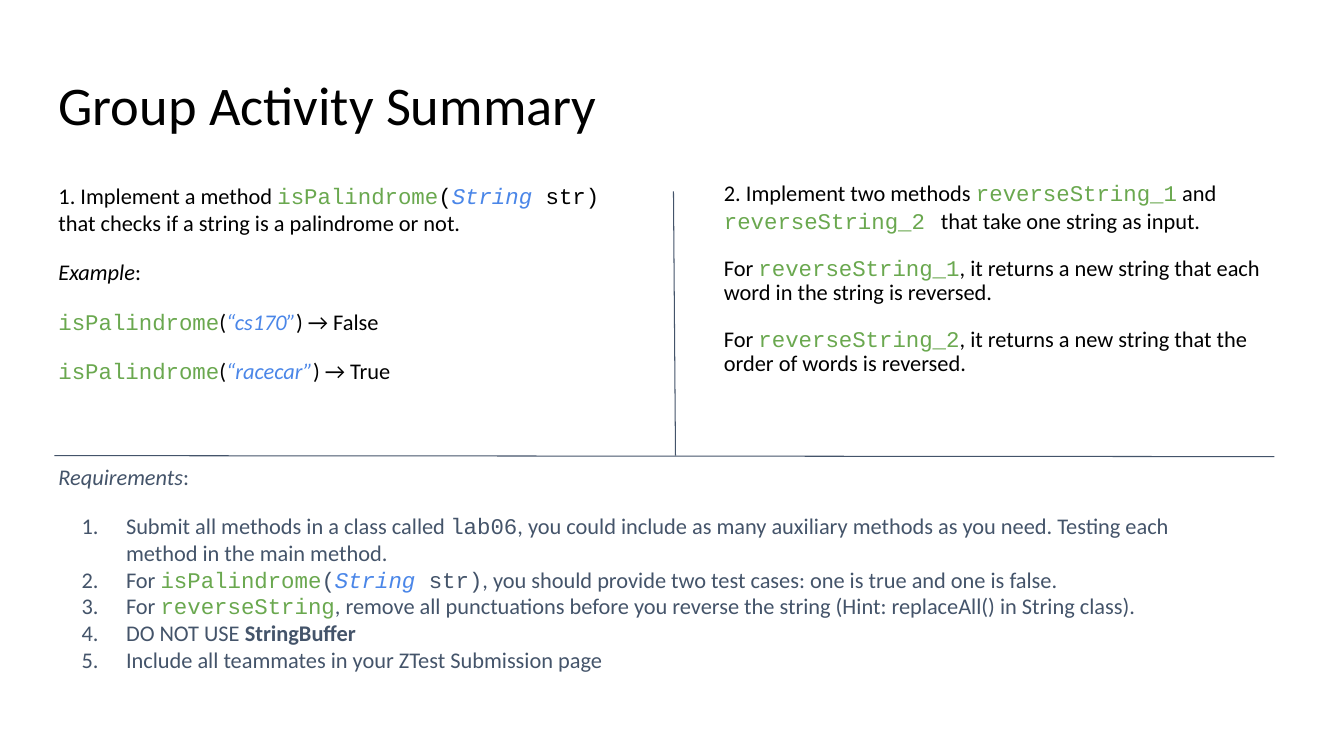
from lxml import etree
from pptx import Presentation
from pptx import util as u
from pptx.dml.color import RGBColor
from pptx.enum import shapes, text
from pptx.oxml import ns

BLACK = RGBColor(0x00, 0x00, 0x00)
SLATE = RGBColor(0x44, 0x54, 0x6A)
GREEN = RGBColor(0x6A, 0xA8, 0x4F)
BLUE = RGBColor(0x4A, 0x86, 0xE8)
SANS, MONO = "Calibri", "Courier New"

RUN_STYLES = {
    "method": {"name": MONO, "color": GREEN},
    "code": {"name": MONO},
    "type": {"name": MONO, "color": BLUE, "italic": True},
    "value": {"color": BLUE, "italic": True},
    "italic": {"italic": True},
    "bold": {"bold": True},
    "gap": {"name": MONO, "color": GREEN, "size": u.Pt(18.7)},
}


class ActivitySlide:
    """Places text and rules on one slide, in percent of its width and height."""

    inset = u.Inches(0.13)
    body_size = 16

    def __init__(self, deck):
        self.width, self.height = deck.slide_width, deck.slide_height
        self.slide = deck.slides.add_slide(deck.slide_layouts[6])

    def x(self, share):
        return round(self.width * share / 100)

    def y(self, share):
        return round(self.height * share / 100)

    def style(self, font, name=None, color=None, size=None, italic=None, bold=None):
        if name:
            font.name = name
        if color is not None:
            font.color.rgb = color
        if size:
            font.size = size
        if italic:
            font.italic = True
        if bold:
            font.bold = True

    def text(self, left, top, width, height, size=body_size, color=BLACK):
        box = self.slide.shapes.add_textbox(
            self.x(left), self.y(top), self.x(width), self.y(height))
        frame = box.text_frame
        frame.word_wrap = True
        frame.vertical_anchor = text.MSO_ANCHOR.TOP
        frame.margin_left = frame.margin_right = self.inset
        frame.margin_top = frame.margin_bottom = self.inset
        self.frame, self.size, self.color = frame, u.Pt(size), color
        self.started = False

    def paragraph(self, *parts, spacing=1.0, before=0, numbered=False):
        line = self.frame.add_paragraph() if self.started else self.frame.paragraphs[0]
        self.started = True
        line.line_spacing = spacing
        line.space_before = u.Pt(before)
        if numbered:
            self.number(line)
        self.style(line.font, SANS, self.color, self.size)
        for part in parts:
            wording, kind = part if isinstance(part, tuple) else (part, None)
            run = line.add_run()
            run.text = wording
            self.style(run.font, **RUN_STYLES.get(kind, {}))

    def number(self, line):
        properties = line._p.get_or_add_pPr()
        properties.set("marL", str(u.Inches(0.67)))
        properties.set("indent", str(u.Inches(-0.44)))
        bullet_color = etree.SubElement(properties, ns.qn("a:buClr"))
        etree.SubElement(bullet_color, ns.qn("a:srgbClr")).set("val", str(self.color))
        etree.SubElement(properties, ns.qn("a:buFont")).set("typeface", SANS)
        etree.SubElement(properties, ns.qn("a:buAutoNum")).set("type", "arabicPeriod")

    def rule(self, x1, y1, x2, y2):
        divider = self.slide.shapes.add_connector(
            shapes.MSO_CONNECTOR.STRAIGHT,
            self.x(x1), self.y(y1), self.x(x2), self.y(y2))
        divider.line.color.rgb = SLATE
        divider.line.width = u.Pt(0.75)
        etree.SubElement(divider._element.spPr, ns.qn("a:effectLst"))


def main():
    deck = Presentation()
    deck.slide_width, deck.slide_height = u.Inches(13.33), u.Inches(7.5)
    activity = ActivitySlide(deck)
    left, right, column, top, depth = 3.38, 52.89, 43.74, 22.4, 66.4
    palindrome = ("isPalindrome", "method")
    signature = (palindrome, ("(", "code"), ("String", "type"), (" str)", "code"))

    activity.text(left, 8.67, 93.17, 11.07, size=38.9)
    activity.paragraph("Group Activity Summary", spacing=0.9)

    activity.text(left, top, column, depth)
    activity.paragraph("1. Implement a method ", *signature,
                       " that checks if a string is a palindrome or not.")
    activity.paragraph(("Example", "italic"), ":", before=16)
    for argument, answer in (("“cs170”", "False"), ("“racecar”", "True")):
        activity.paragraph(palindrome, "(", (argument, "value"), f") → {answer}",
                           before=16)

    activity.text(right, top, column, depth)
    activity.paragraph("2. Implement two methods ", ("reverseString_1", "method"),
                       " and ", ("reverseString_2", "method"), (" ", "gap"),
                       "that take one string as input.", spacing=0.9)
    for method, result in (("reverseString_1", "each word in the string"),
                           ("reverseString_2", "the order of words")):
        activity.paragraph("For ", (method, "method"),
                           f", it returns a new string that {result} is reversed.",
                           spacing=0.9, before=16)

    activity.rule(50.11, 25.33, 50.26, 60.27)

    activity.text(left, 59.47, 88.6, 31.33, color=SLATE)
    activity.paragraph(("Requirements", "italic"), ":")
    requirements = (
        ("Submit all methods in a class called ", ("lab06", "code"),
         ", you could include as many auxiliary methods as you need."
         " Testing each method in the main method."),
        ("For ", *signature,
         ", you should provide two test cases: one is true and one is false."),
        ("For ", ("reverseString", "method"),
         ", remove all punctuations before you reverse the string"
         " (Hint: replaceAll() in String class)."),
        ("DO NOT USE ", ("StringBuffer", "bold")),
        ("Include all teammates in your ZTest Submission page",),
    )
    for index, requirement in enumerate(requirements):
        activity.paragraph(*requirement, before=0 if index else 16, numbered=True)

    activity.rule(4.05, 60.27, 94.82, 60.4)
    deck.save("out.pptx")


if __name__ == "__main__":
    main()
